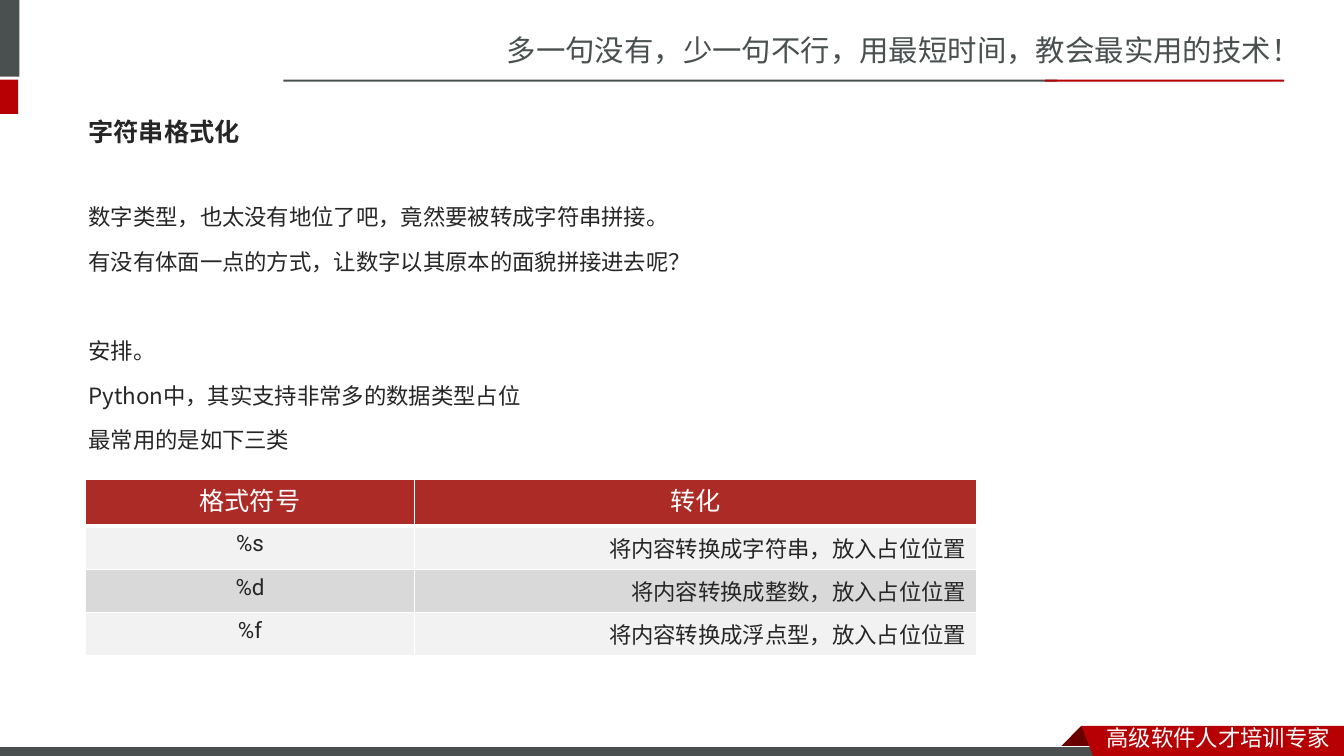
from lxml.etree import SubElement
from pptx import Presentation
from pptx.dml.color import RGBColor
from pptx.enum.shapes import MSO_SHAPE
from pptx.enum.text import MSO_ANCHOR, PP_ALIGN
from pptx.oxml.ns import qn
from pptx.util import Cm, Pt

GREY, RED, DARK, WHITE, INK = "49504F", "B60004", "680000", "FFFFFF", "262626"
HEAD, PALE, MID = "AD2B26", "F2F2F2", "D9D9D9"
SANS, BODY, LATIN = "Noto Sans CJK SC", "Noto Sans CJK JP", "Roboto"
PITCH = 31.9

MOTTO = "多一句没有，少一句不行，用最短时间，教会最实用的技术！"
TITLE = "字符串格式化"
FOOTER = "高级软件人才培训专家"
GROUPS = [
    ["数字类型，也太没有地位了吧，竟然要被转成字符串拼接。",
     "有没有体面一点的方式，让数字以其原本的面貌拼接进去呢？"],
    ["安排。", "Python中，其实支持非常多的数据类型占位", "最常用的是如下三类"],
]
ROWS = [
    ("格式符号", "转化"),
    ("%s", "将内容转换成字符串，放入占位位置"),
    ("%d", "将内容转换成整数，放入占位位置"),
    ("%f", "将内容转换成浮点型，放入占位位置"),
]
WIDTHS = [8.28, 14.17]
HEIGHTS = [1.19, 1.09, 1.09, 1.09]
BARS = [
    (-0.15, 0, 0.64, 1.93, GREY),
    (-0.15, 2.01, 0.61, 0.86, RED),
    (7.14, 2.01, 19.51, 0.05, GREY),
    (26.34, 2.01, 6.02, 0.05, RED),
]
FLOOR = (-0.03, 18.82, 27.94, 0.3, GREY)
FOLD = [(27.25, 18.29), (27.81, 18.85), (27.79, 18.87), (26.72, 18.87), (26.7, 18.85)]
RIBBON = [(27.25, 18.29), (33.87, 18.29), (33.87, 19.15), (27.58, 19.13)]


def paint(target, color):
    target.solid()
    target.fore_color.rgb = RGBColor.from_string(color)


def style(para, text, size, color, face, bold=False, asian=None):
    para.text = text
    font = para.font
    font.size, font.bold, font.name = Pt(size), bold, face
    paint(font.fill, color)
    props = para._p.pPr.find(qn("a:defRPr"))
    SubElement(props, qn("a:ea")).set("typeface", asian or face)


def finish(shape, color):
    shape.shadow.inherit = False
    paint(shape.fill, color)
    shape.line.fill.background()
    return shape


def bar(slide, left, top, width, height, color):
    box = map(Cm, (left, top, width, height))
    return finish(slide.shapes.add_shape(MSO_SHAPE.RECTANGLE, *box), color)


def outline(slide, points, color):
    dots = [(Cm(x), Cm(y)) for x, y in points]
    path = slide.shapes.build_freeform(*dots[0], scale=1.0)
    path.add_line_segments(dots[1:], close=True)
    finish(path.convert_to_shape(), color)


def frame(slide, *box):
    text = slide.shapes.add_textbox(*map(Cm, box)).text_frame
    text.word_wrap = True
    return text


def label(slide, box, *look):
    text = frame(slide, *box)
    text.vertical_anchor = MSO_ANCHOR.MIDDLE
    style(text.paragraphs[0], *look)


def border(cell, bottom):
    props = cell._tc.get_or_add_tcPr()
    for side, width in (("L", 1), ("R", 1), ("T", 1), ("B", bottom)):
        edge = SubElement(props, qn("a:ln" + side), w=str(Pt(width)))
        fill = SubElement(edge, qn("a:solidFill"))
        SubElement(fill, qn("a:srgbClr"), val=WHITE)


def story(slide):
    text = frame(slide, 1.98, 4.55, 29.72, 11.7)
    for g, group in enumerate(GROUPS):
        for i, line in enumerate(group):
            first = g == i == 0
            para = text.paragraphs[0] if first else text.add_paragraph()
            para.line_spacing = Pt(PITCH)
            if g and not i:
                para.space_before = Pt(PITCH)
            style(para, line, 16, INK, BODY)


def grid(slide):
    box = map(Cm, (2.16, 12.07, sum(WIDTHS), sum(HEIGHTS)))
    table = slide.shapes.add_table(len(ROWS), len(WIDTHS), *box).table
    for col, width in zip(table.columns, WIDTHS):
        col.width = Cm(width)
    for r, row in enumerate(ROWS):
        table.rows[r].height = Cm(HEIGHTS[r])
        for c, text in enumerate(row):
            cell = table.cell(r, c)
            border(cell, 1 if r else 3)
            paint(cell.fill, (MID if r % 2 == 0 else PALE) if r else HEAD)
            para = cell.text_frame.paragraphs[0]
            para.alignment = PP_ALIGN.RIGHT if r and c else PP_ALIGN.CENTER
            if not r:
                para.line_spacing = Pt(24)
            size, color = (16, INK) if r else (18, WHITE)
            style(para, text, size, color, LATIN, asian=SANS)


def main():
    """Build the string formatting slide."""
    deck = Presentation()
    deck.slide_width, deck.slide_height = Cm(33.87), Cm(19.05)
    slide = deck.slides.add_slide(deck.slide_layouts[6])
    label(slide, (12.52, 0.67, 21.36, 1.19), MOTTO, 21, GREY, SANS)
    for item in BARS:
        bar(slide, *item)
    outline(slide, FOLD, DARK)
    floor = bar(slide, *FLOOR)
    paint(floor.line.fill, WHITE)
    floor.line.width = Pt(0.75)
    outline(slide, RIBBON, RED)
    label(slide, (27.64, 18.12, 6.22, 0.94), FOOTER, 16, WHITE, SANS)
    label(slide, (1.98, 2.59, 29.72, 1.45), TITLE, 18, INK, BODY, True)
    story(slide)
    grid(slide)
    deck.save("out.pptx")


if __name__ == "__main__":
    main()
